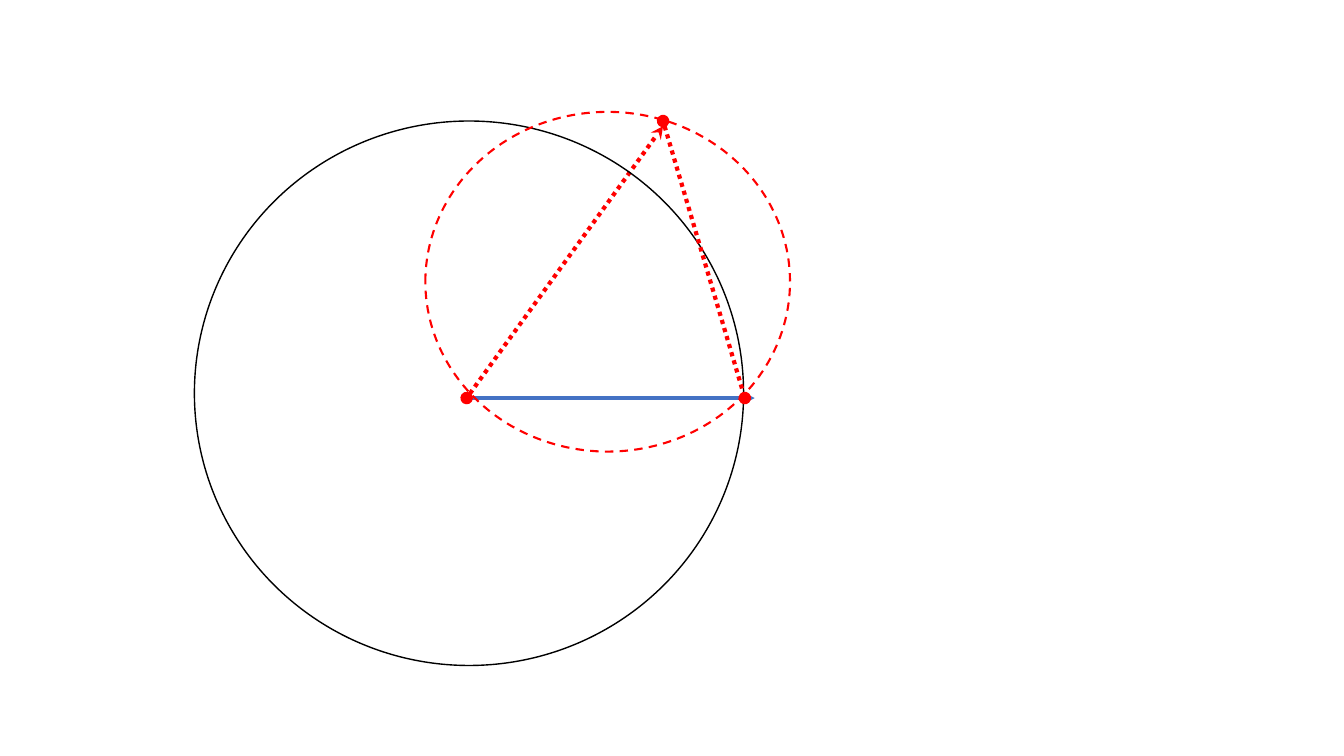
from lxml import etree
from pptx import Presentation
from pptx import util as u
from pptx.dml.color import RGBColor
from pptx.enum import dml, shapes
from pptx.oxml.ns import qn


def colour(value):
    return RGBColor.from_string(value)


class Diagram:
    """Draws circles and vectors, measured in centimetres, on one slide."""

    BLACK = "000000"
    BLUE = "4472C4"
    RED = "FF0000"

    def __init__(self, slide):
        self.slide = slide

    def outline(self, line, line_colour, width, dash):
        line.color.rgb = colour(line_colour)
        line.width = u.Pt(width)
        if dash:
            line.dash_style = dash

    def circle(self, left, top, width, height, line_colour, line_width, dash=None):
        shape = self.slide.shapes.add_shape(
            shapes.MSO_SHAPE.OVAL, u.Cm(left), u.Cm(top), u.Cm(width), u.Cm(height))
        shape.shadow.inherit = False
        shape.fill.background()
        self.outline(shape.line, line_colour, line_width, dash)

    def vector(self, start, end, line_colour, line_width, tip="stealth", dash=None):
        connector = self.slide.shapes.add_connector(
            shapes.MSO_CONNECTOR.STRAIGHT, *map(u.Cm, start + end))
        self.outline(connector.line, line_colour, line_width, dash)
        properties = connector._element.spPr
        line = properties.find(qn("a:ln"))
        etree.SubElement(line, qn("a:headEnd"), type="oval")
        etree.SubElement(line, qn("a:tailEnd"), type=tip)
        etree.SubElement(properties, qn("a:effectLst"))


def main():
    presentation = Presentation()
    presentation.slide_width = u.Cm(33.87)
    presentation.slide_height = u.Cm(19.05)
    diagram = Diagram(presentation.slides.add_slide(presentation.slide_layouts[6]))

    dotted = dml.MSO_LINE.ROUND_DOT
    origin = (11.76, 10.03)
    diagram.vector(origin, (19.02, 10.03), diagram.BLUE, 2.5)
    diagram.vector(origin, (16.71, 3.18), diagram.RED, 3, dash=dotted)
    diagram.circle(4.9, 3.05, 13.84, 13.72, diagram.BLACK, 1)
    diagram.vector((16.71, 3.05), (18.77, 10.03), diagram.RED, 3, "oval", dotted)
    diagram.circle(10.72, 2.82, 9.19, 8.56, diagram.RED, 1.5, dml.MSO_LINE.DASH)

    presentation.save("out.pptx")


if __name__ == "__main__":
    main()
